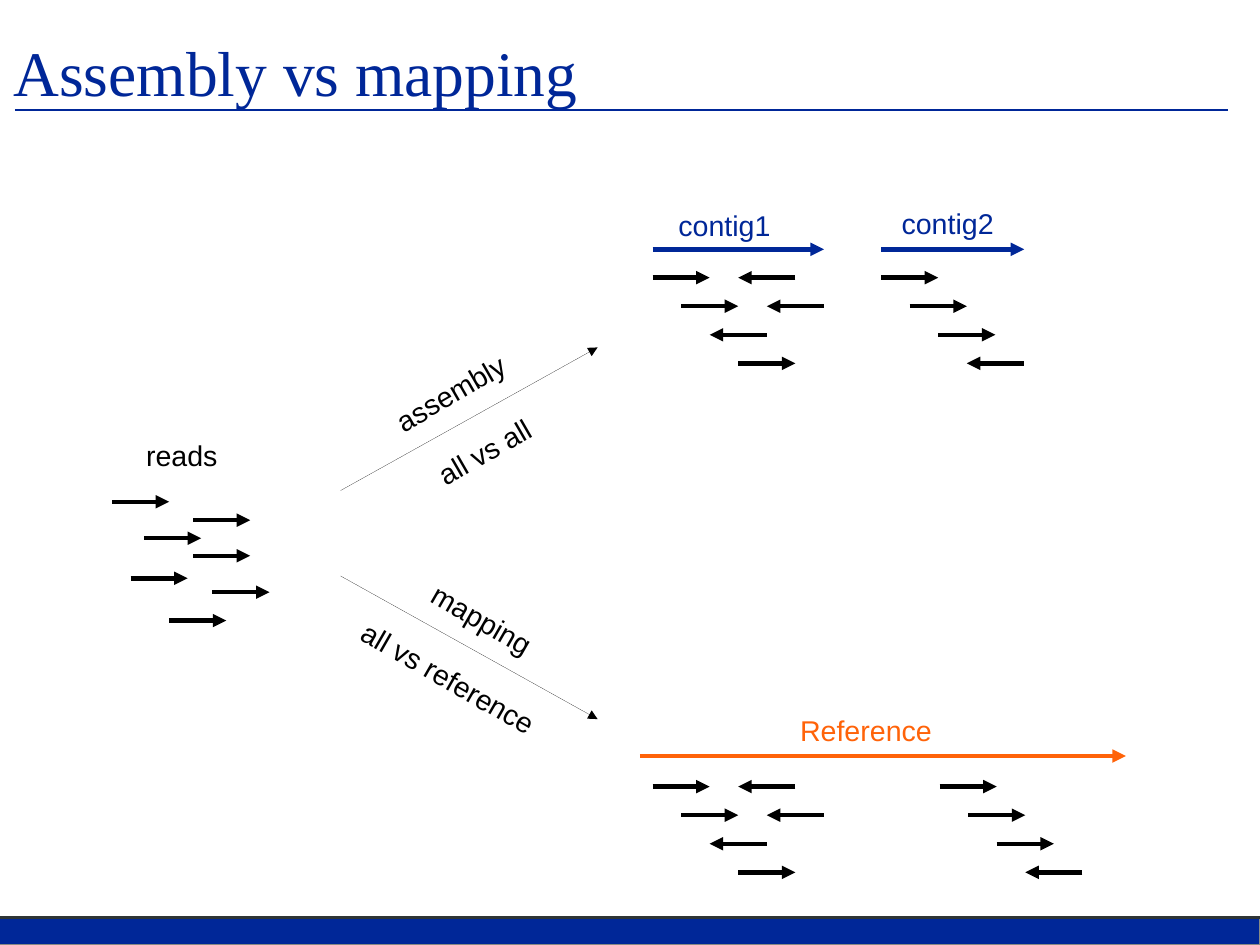
"""Build the slide that contrasts read assembly with read mapping."""
from dataclasses import dataclass

from lxml.etree import SubElement
from pptx import Presentation
from pptx.dml.color import RGBColor
from pptx.enum.shapes import MSO_CONNECTOR, MSO_SHAPE
from pptx.enum.text import MSO_ANCHOR, MSO_AUTO_SIZE, PP_ALIGN
from pptx.oxml.ns import qn
from pptx.slide import Slide
from pptx.util import Cm, Pt


@dataclass(frozen=True)
class Theme:
    blue: str = "002798"
    orange: str = "FF6309"
    black: str = "000000"
    charcoal: str = "2E3436"
    grey: str = "888A85"
    title_font: str = "Times New Roman"
    body_font: str = "Arial"
    title_size: float = 40
    body_size: float = 18
    paragraph_gap: float = 21
    rule: float = 1.42
    bold_line: float = 2.83
    hairline: float = 0.01


THEME = Theme()


@dataclass(frozen=True)
class Line:
    x1: float
    y1: float
    x2: float
    y2: float
    color: str
    width: float
    arrow: bool = True


@dataclass(frozen=True)
class Label:
    lines: tuple[str, ...]
    left: float
    top: float
    width: float
    height: float = 1.07
    color: str = THEME.black
    rotation: float = 0


@dataclass(frozen=True)
class Read:
    column: int
    row: int
    forward: bool = True


@dataclass(frozen=True)
class Pile:
    left: float
    top: float
    reads: tuple[Read, ...]


SLIDE_WIDTH, SLIDE_HEIGHT = 28, 21
FOOTER_TOP = 20.39
READ_LENGTH = 1.27
STEP = READ_LENGTH / 2

FIRST_READS = (Read(0, 0), Read(1, 1), Read(3, 0, False),
               Read(2, 2, False), Read(3, 3), Read(4, 1, False))
SECOND_READS = (Read(0, 0), Read(1, 1), Read(2, 2), Read(3, 3, False))
PILES = (
    Pile(14.5, 6.17, FIRST_READS),
    Pile(19.58, 6.17, SECOND_READS),
    Pile(14.5, 17.48, FIRST_READS),
    Pile(20.88, 17.48, SECOND_READS),
)
LOOSE_READS = ((2.49, 11.15), (4.29, 11.56), (3.2, 11.96), (4.29, 12.35),
               (2.9, 12.85), (4.72, 13.16), (3.76, 13.79))

RULES = (
    Line(0, FOOTER_TOP, SLIDE_WIDTH, FOOTER_TOP, THEME.charcoal, THEME.rule, False),
    Line(0.33, 2.44, 27.3, 2.44, THEME.blue, THEME.rule, False),
)
ARROWS = (
    Line(14.5, 5.54, 18.31, 5.54, THEME.blue, THEME.bold_line),
    Line(19.58, 5.54, 22.76, 5.54, THEME.blue, THEME.bold_line),
    Line(14.22, 16.8, 25.02, 16.8, THEME.orange, THEME.bold_line),
    Line(7.57, 10.9, 13.28, 7.72, THEME.black, THEME.hairline),
    Line(7.57, 12.8, 13.28, 15.98, THEME.black, THEME.hairline),
)
LABELS = (
    Label(("contig1",), 14.78, 4.45, 2.64, color=THEME.blue),
    Label(("contig2",), 19.74, 4.4, 2.64, color=THEME.blue),
    Label(("reads",), 2.95, 9.55, 2.18),
    Label(("Reference",), 17.48, 15.67, 3.53, color=THEME.orange),
    Label(("assembly", "all vs all"), 8.71, 8.08, 3.28, 2.49, rotation=330),
    Label(("mapping", "all vs reference"), 7.92, 13.11, 4.9, 2.49, rotation=30),
)


def rgb(value: str) -> RGBColor:
    return RGBColor.from_string(value)


def draw_line(s: Slide, line: Line) -> None:
    cx = s.shapes.add_connector(MSO_CONNECTOR.STRAIGHT, Cm(line.x1), Cm(line.y1),
                                Cm(line.x2), Cm(line.y2))
    cx.line.color.rgb = rgb(line.color)
    cx.line.width = Pt(line.width)
    sp_pr = cx._element.spPr
    if line.arrow:
        SubElement(sp_pr.find(qn("a:ln")), qn("a:tailEnd"), type="triangle")
    SubElement(sp_pr, qn("a:effectLst"))


def draw_read(s: Slide, left: float, y: float, forward: bool = True) -> None:
    start, end = left, left + READ_LENGTH
    if not forward:
        start, end = end, start
    draw_line(s, Line(start, y, end, y, THEME.black, THEME.bold_line))


def draw_pile(s: Slide, pile: Pile) -> None:
    for read in pile.reads:
        draw_read(s, pile.left + read.column * STEP,
                  pile.top + read.row * STEP, read.forward)


def draw_label(s: Slide, label: Label) -> None:
    box = s.shapes.add_textbox(Cm(label.left), Cm(label.top),
                               Cm(label.width), Cm(label.height))
    box.rotation = label.rotation
    tf = box.text_frame
    tf.word_wrap = False
    tf.auto_size = MSO_AUTO_SIZE.SHAPE_TO_FIT_TEXT
    tf.margin_left = tf.margin_right = Cm(0.2)
    tf.margin_top = tf.margin_bottom = Cm(0.18)
    for i, text in enumerate(label.lines):
        p = tf.add_paragraph() if i else tf.paragraphs[0]
        p.text = text
        p.alignment = PP_ALIGN.CENTER
        p.font.name = THEME.body_font
        p.font.size = Pt(THEME.body_size)
        p.font.color.rgb = rgb(label.color)
        if i:
            p.space_before = Pt(THEME.paragraph_gap)


def draw_footer(s: Slide) -> None:
    bar = s.shapes.add_shape(MSO_SHAPE.RECTANGLE, 0, Cm(FOOTER_TOP),
                             Cm(SLIDE_WIDTH), Cm(SLIDE_HEIGHT - FOOTER_TOP))
    bar.shadow.inherit = False
    bar.fill.solid()
    bar.fill.fore_color.rgb = rgb(THEME.blue)
    bar.line.color.rgb = rgb(THEME.grey)
    bar.line.width = Pt(THEME.hairline)


def set_title(s: Slide, text: str) -> None:
    title = s.shapes.title
    title.left, title.top = Cm(0.3), Cm(-0.17)
    title.width, title.height = Cm(26.6), Cm(3.5)
    tf = title.text_frame
    tf.margin_left = tf.margin_right = tf.margin_top = tf.margin_bottom = 0
    tf.vertical_anchor = MSO_ANCHOR.MIDDLE
    tf.auto_size = MSO_AUTO_SIZE.NONE
    p = tf.paragraphs[0]
    p.text = text
    p.alignment = PP_ALIGN.LEFT
    p.font.name = THEME.title_font
    p.font.size = Pt(THEME.title_size)
    p.font.color.rgb = rgb(THEME.blue)


def main() -> None:
    prs = Presentation()
    prs.slide_width, prs.slide_height = Cm(SLIDE_WIDTH), Cm(SLIDE_HEIGHT)
    s = prs.slides.add_slide(prs.slide_layouts[5])
    set_title(s, "Assembly vs mapping")
    draw_footer(s)
    for line in RULES + ARROWS:
        draw_line(s, line)
    for pile in PILES:
        draw_pile(s, pile)
    for left, y in LOOSE_READS:
        draw_read(s, left, y)
    for label in LABELS:
        draw_label(s, label)
    prs.save("out.pptx")


if __name__ == "__main__":
    main()
